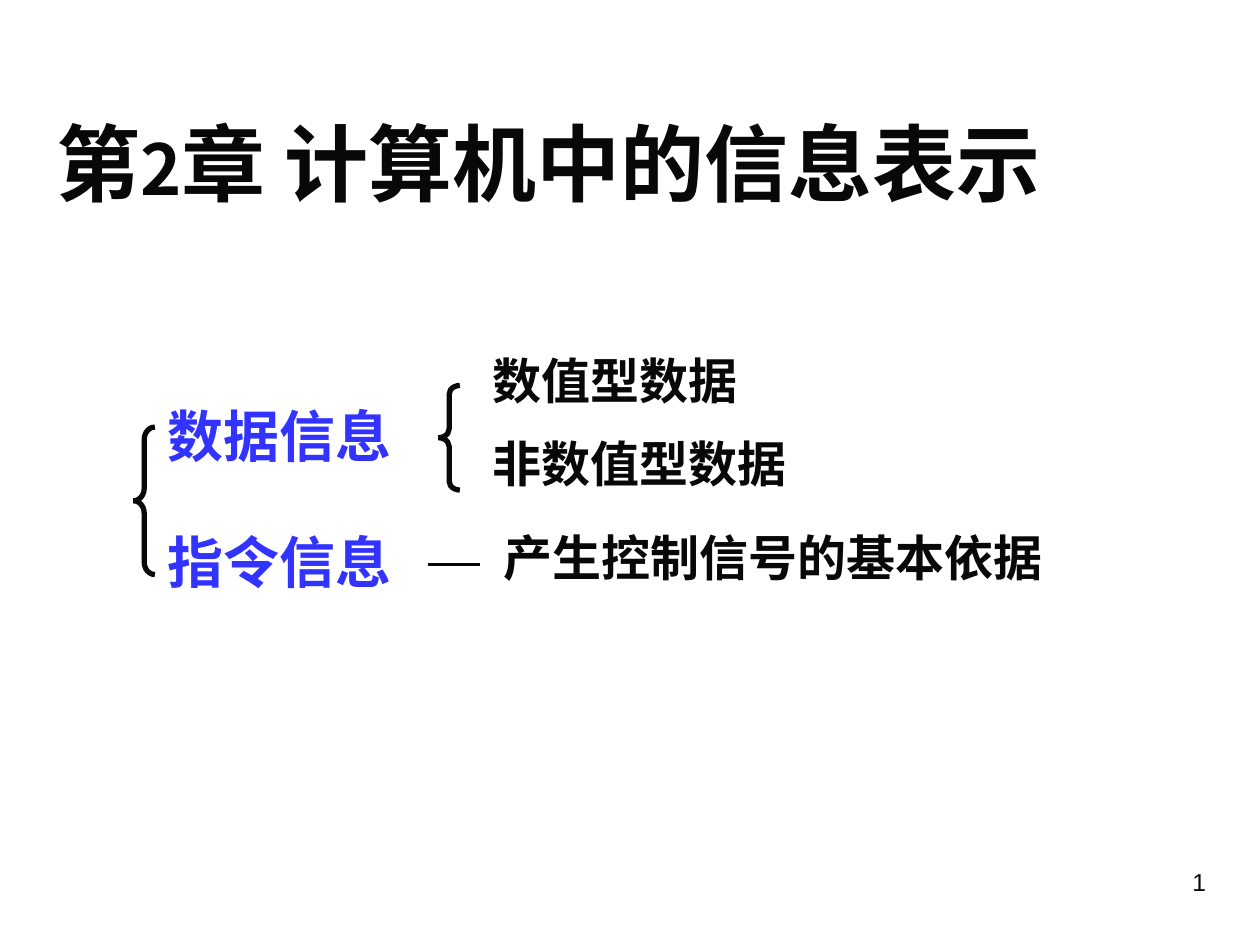
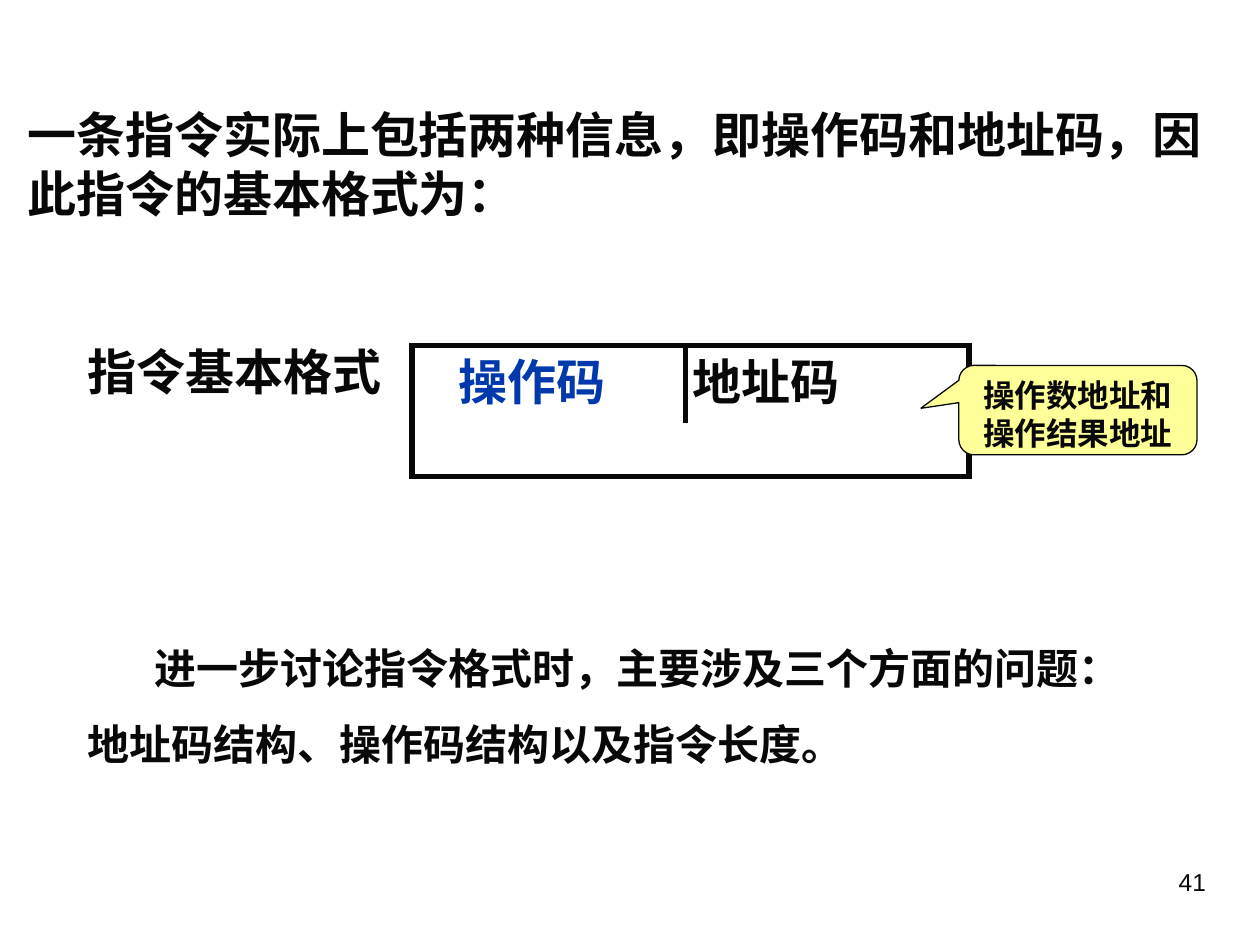
from dataclasses import dataclass
from lxml.etree import SubElement as Sub
from pptx import Presentation
from pptx.dml.color import RGBColor as Rgb
from pptx.enum.shapes import MSO_CONNECTOR as Conn, MSO_SHAPE as Kind
from pptx.enum.text import MSO_ANCHOR as Anchor, PP_ALIGN as Align
from pptx.oxml.ns import qn
from pptx.util import Inches, Pt


@dataclass(frozen=True)
class Theme:
    """Colours, fonts and type sizes of the deck."""
    ink: str = "080808"
    blue: str = "3333FF"
    navy: str = "0039AC"
    note: str = "FFFF99"
    cjk: str = "Noto Sans CJK SC"
    sans: str = "Arial"
    serif: str = "Times New Roman"
    title: int = 48
    digit: int = 40
    topic: int = 32
    body: int = 28
    para: int = 24
    small: int = 18
    foot: int = 14


T = Theme()


def style(run, size, color=T.ink, font=T.serif, bold=True):
    """Set the type of one run, with the shared East Asian font."""
    face = run.font
    face.size, face.bold, face.name = Pt(size), bold, font
    face.color.rgb = Rgb.from_string(color)
    Sub(run._r.get_or_add_rPr(), qn("a:ea"), typeface=T.cjk)


def write(shape, text, align=Align.LEFT, indent=0, lead=None, **form):
    """Fill a shape with text, given as a string or as (text, format) parts."""
    frame = shape.text_frame
    frame.word_wrap, frame.vertical_anchor = True, Anchor.TOP
    para = frame.paragraphs[0]
    props = para._p.get_or_add_pPr()
    props.set("marL", "0")
    props.set("indent", str(Inches(indent)))
    para.alignment = align
    if lead:
        para.line_spacing = lead
    parts = [(text, {})] if isinstance(text, str) else text
    for words, extra in parts:
        run = para.add_run()
        run.text = words
        style(run, **{**form, **extra})


def label(slide, x, y, w, h, text, **form):
    """Add a text box."""
    box = slide.shapes.add_textbox(Inches(x), Inches(y), Inches(w), Inches(h))
    write(box, text, **form)


def shape(slide, kind, x, y, w, h, fill=None, width=3):
    """Add a shape outlined with sharp corners, filled on demand."""
    item = slide.shapes.add_shape(kind, Inches(x), Inches(y), Inches(w), Inches(h))
    item.shadow.inherit = False
    if fill:
        item.fill.solid()
        item.fill.fore_color.rgb = Rgb.from_string(fill)
    else:
        item.fill.background()
    item.line.color.rgb = Rgb.from_string(T.ink)
    item.line.width = Pt(width)
    Sub(item.line._get_or_add_ln(), qn("a:miter"), lim="800000")
    return item


def rule(slide, x, y, dx, dy, width):
    """Draw a straight line from a point."""
    line = slide.shapes.add_connector(
        Conn.STRAIGHT, Inches(x), Inches(y), Inches(x + dx), Inches(y + dy))
    line.line.color.rgb = Rgb.from_string(T.ink)
    line.line.width = Pt(width)
    Sub(line._element.spPr, qn("a:effectLst"))


def brace(slide, x, y, h):
    """Draw a left brace with curves a twelfth of its height."""
    item = shape(slide, Kind.LEFT_BRACE, x, y, 0.17, h)
    item.adjustments[0] = h / 12 / 0.17


def page(deck, number):
    """Add a blank slide with its page number."""
    slide = deck.slides.add_slide(deck.slide_layouts[6])
    label(slide, 7.17, 6.83, 2.5, 0.52, number, align=Align.RIGHT,
          size=T.foot, font=T.sans, bold=False)
    return slide


def tree(slide, x, y):
    """Draw the tree of information types."""
    brace(slide, x, y + 0.66, 1.17)
    brace(slide, x + 2.42, y + 0.33, 0.83)
    for row, topic in enumerate(("数据信息", "指令信息")):
        label(slide, x + 0.17, y + 0.41 + row, 2.58, 0.64, topic,
              size=T.topic, color=T.blue)
    for dx, dy, w, leaf in ((2.75, 0, 2.75, "数值型数据"),
                            (2.75, 0.66, 3.25, "非数值型数据"),
                            (2.84, 1.41, 5.33, "产生控制信号的基本依据")):
        label(slide, x + dx, y + dy, w, 0.57, leaf, size=T.body)
    rule(slide, x + 2.34, y + 1.75, 0.41, 0, 2.25)


def layout(slide, x, y):
    """Draw the instruction word with its name and callout."""
    label(slide, x, y, 2.77, 0.57, "指令基本格式", size=T.body)
    top = y + 0.08
    word = shape(slide, Kind.RECTANGLE, x + 2.67, top, 4.42, 1.04)
    write(word, "操作码", indent=0.27, size=T.body, color=T.navy)
    label(slide, x + 4.8, top, 2, 0.57, "地址码", size=T.body, font=T.cjk)
    rule(slide, x + 4.84, top, 0, 0.62, 3)
    note = shape(slide, Kind.ROUNDED_RECTANGULAR_CALLOUT,
                 x + 7.01, y + 0.24, 1.89, 0.71, T.note, 0.75)
    for spot, value in enumerate((-0.66, -0.02, 0.17)):
        note.adjustments[spot] = value
    write(note, "操作数地址和操作结果地址", align=Align.CENTER,
          size=T.small, font=T.sans)


def opening(deck):
    """Build the chapter slide."""
    slide = page(deck, "1")
    label(slide, 0.35, 0.84, 9.25, 0.9,
          [("第", {}), ("2", {"size": T.digit}), ("章 计算机中的信息表示", {})],
          size=T.title, font=T.cjk)
    tree(slide, 1.06, 2.73)


def command(deck):
    """Build the instruction format slide."""
    slide = page(deck, "41")
    label(slide, 0.12, 0.78, 9.88, 1.04,
          "一条指令实际上包括两种信息，即操作码和地址码，因此指令的基本格式为：",
          size=T.body, font=T.sans)
    layout(slide, 0.6, 2.66)
    label(slide, 0.6, 4.85, 8.43, 1.7,
          "进一步讨论指令格式时，主要涉及三个方面的问题："
          "地址码结构、操作码结构以及指令长度。",
          indent=0.53, lead=1.5, size=T.para, font=T.sans)


def main():
    """Build and save the deck."""
    deck = Presentation()
    deck.slide_width, deck.slide_height = Inches(10), Inches(7.5)
    opening(deck)
    command(deck)
    deck.save("out.pptx")


if __name__ == "__main__":
    main()
